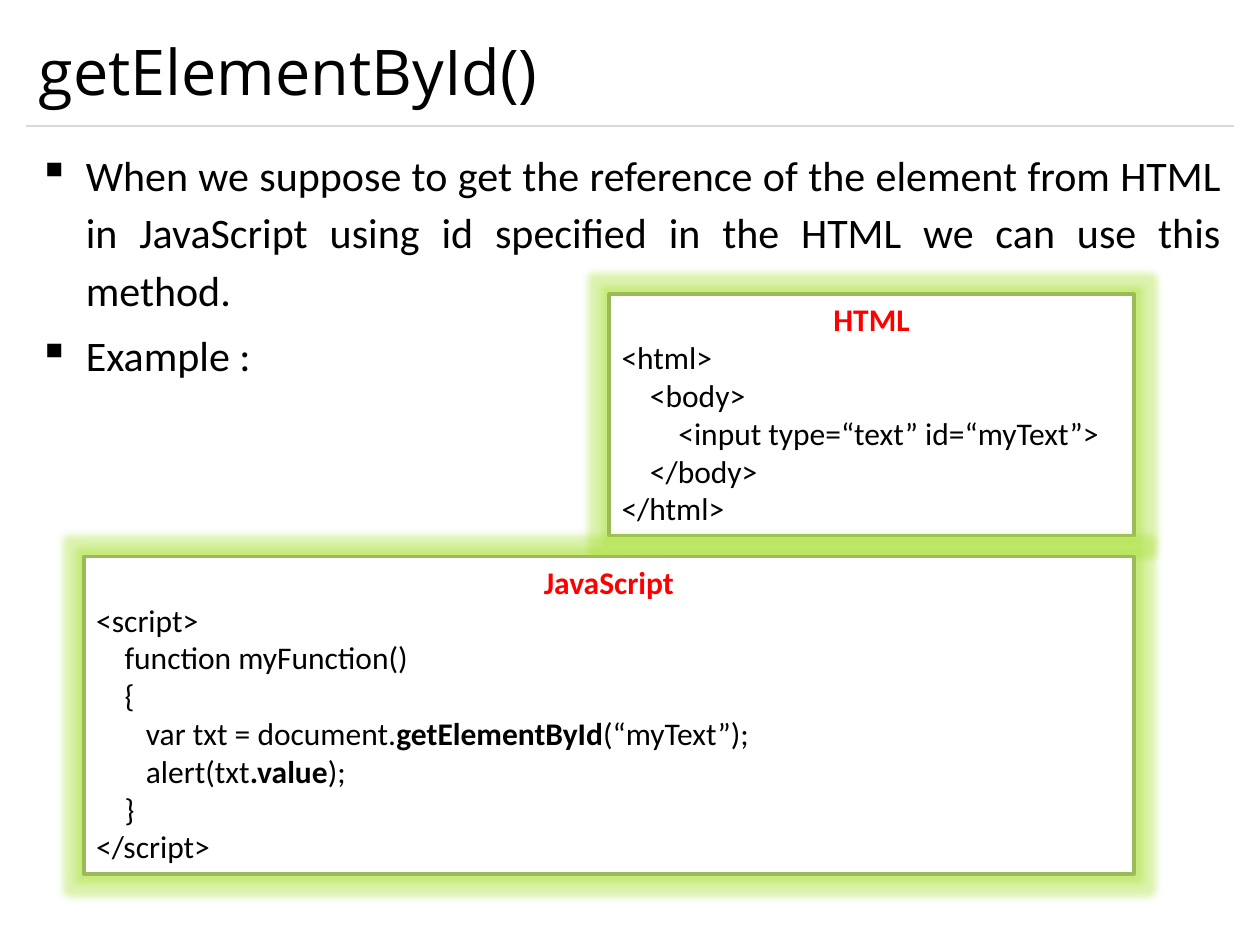
import dataclasses

import lxml.etree
import pptx
import pptx.dml.color
import pptx.enum.shapes
import pptx.enum.text
import pptx.oxml.ns
import pptx.util

Cm = pptx.util.Cm
Pt = pptx.util.Pt
Align = pptx.enum.text.PP_ALIGN
Anchor = pptx.enum.text.MSO_ANCHOR


@dataclasses.dataclass(frozen=True)
class Theme:
    ink: str = "000000"
    paper: str = "FFFFFF"
    rule: str = "D9D9D9"
    accent: str = "9BBB59"
    heading: str = "FF0000"
    title_font: str = "Open Sans"
    body_font: str = "Calibri"
    title_size: int = 36
    body_size: int = 24
    code_size: int = 18


def rgb(value):
    return pptx.dml.color.RGBColor.from_string(value)


def add_child(parent, tag, **attributes):
    return lxml.etree.SubElement(parent, pptx.oxml.ns.qn(tag), attributes)


def add_span(para, text, *, font, size, color, bold=False):
    span = para.add_run()
    span.text = text
    span.font.name = font
    span.font.size = Pt(size)
    span.font.bold = bold
    span.font.color.rgb = rgb(color)
    return span


class SlideBuilder:
    def __init__(self, page, theme):
        self.page = page
        self.theme = theme

    def text_frame(self, left, top, width, height, anchor=Anchor.TOP):
        box = self.page.shapes.add_textbox(Cm(left), Cm(top), Cm(width), Cm(height))
        box.text_frame.word_wrap = True
        box.text_frame.vertical_anchor = anchor
        return box.text_frame

    def title(self, text, *place):
        frame = self.text_frame(*place, anchor=Anchor.MIDDLE)
        add_span(frame.paragraphs[0], text, font=self.theme.title_font,
                 size=self.theme.title_size, color=self.theme.ink)

    def rule(self, left, right, top):
        line = self.page.shapes.add_connector(
            pptx.enum.shapes.MSO_CONNECTOR.STRAIGHT,
            Cm(left), Cm(top), Cm(right), Cm(top))
        line.line.color.rgb = rgb(self.theme.rule)
        line.line.width = Pt(0.75)
        add_child(line._element.spPr, "a:effectLst")

    def bullets(self, texts, *place):
        frame = self.text_frame(*place)
        for index, text in enumerate(texts):
            para = frame.add_paragraph() if index else frame.paragraphs[0]
            para.alignment = Align.JUSTIFY
            para.line_spacing = 1.14
            if index:
                para.space_before = Pt(0.2 * self.theme.body_size)
            # Hanging square bullet
            properties = para._p.get_or_add_pPr()
            indent = Cm(0.95)
            properties.set("marL", str(indent))
            properties.set("indent", str(-indent))
            color = add_child(properties, "a:buClr")
            add_child(color, "a:srgbClr", val=self.theme.ink)
            add_child(properties, "a:buChar", char="▪")
            add_span(para, text, font=self.theme.body_font,
                     size=self.theme.body_size, color=self.theme.ink)

    def glow(self, box):
        effects = box._element.spPr.find(pptx.oxml.ns.qn("a:effectLst"))
        glow = add_child(effects, "a:glow", rad=str(Pt(8)))
        color = add_child(glow, "a:srgbClr", val=self.theme.accent)
        add_child(color, "a:satMod", val="175000")
        add_child(color, "a:alpha", val="40000")

    def code_panel(self, heading, lines, *place):
        """Each line is a list of pieces; every second piece is bold."""
        box = self.page.shapes.add_shape(
            pptx.enum.shapes.MSO_SHAPE.RECTANGLE, *map(Cm, place))
        box.shadow.inherit = False
        box.fill.solid()
        box.fill.fore_color.rgb = rgb(self.theme.paper)
        box.line.color.rgb = rgb(self.theme.accent)
        box.line.width = Pt(2)
        self.glow(box)

        frame = box.text_frame
        frame.word_wrap = True
        frame.vertical_anchor = Anchor.TOP
        frame.auto_size = pptx.enum.text.MSO_AUTO_SIZE.SHAPE_TO_FIT_TEXT
        style = dict(font=self.theme.body_font, size=self.theme.code_size)
        para = frame.paragraphs[0]
        para.alignment = Align.CENTER
        add_span(para, heading, color=self.theme.heading, bold=True, **style)
        for pieces in lines:
            para = frame.add_paragraph()
            para.alignment = Align.LEFT
            for index, piece in enumerate(pieces):
                add_span(para, piece, color=self.theme.ink,
                         bold=index % 2 == 1, **style)


def main():
    deck = pptx.Presentation()
    deck.slide_width, deck.slide_height = Cm(25.4), Cm(19.05)
    page = deck.slides.add_slide(deck.slide_layouts[6])
    builder = SlideBuilder(page, Theme())

    # Heading
    margin, width = 0.53, 24.34
    builder.rule(margin, margin + width, 2.54)
    builder.title("getElementById()", margin, 0.3, width, 2.24)

    # Explanation
    builder.bullets([
        "When we suppose to get the reference of the element from HTML in "
        "JavaScript using id specified in the HTML we can use this method.",
        "Example :",
    ], margin, 2.74, width, 14.81)

    # Code examples, sharing their right edge
    right = 22.86
    html_width, script_width = 10.58, 21.17
    builder.code_panel("HTML", [
        ["<html>"],
        ["    <body>"],
        ["        <input type=“text” id=“myText”>"],
        ["    </body>"],
        ["</html>"],
    ], right - html_width, 5.93, html_width, 4.87)
    builder.code_panel("JavaScript", [
        ["<script>"],
        ["    function myFunction()"],
        ["    {"],
        ["       var txt = document.", "getElementById", "(“myText”);"],
        ["       alert(txt", ".value", ");"],
        ["    }"],
        ["</script>"],
    ], right - script_width, 11.22, script_width, 6.4)

    deck.save("out.pptx")


if __name__ == "__main__":
    main()
